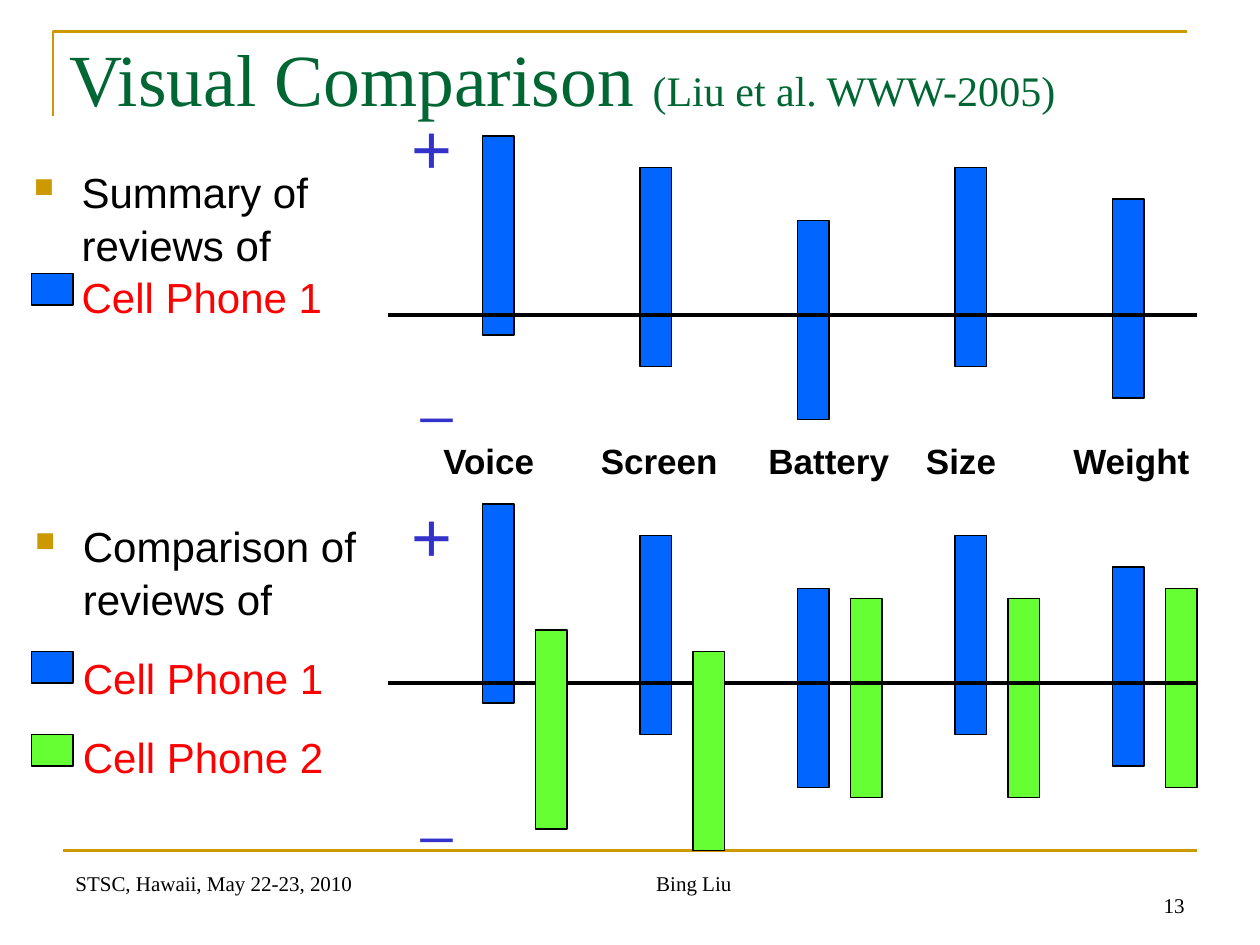
import pptx
import pptx.util
import pptx.dml.color
import pptx.enum.shapes
import pptx.enum.text
import pptx.oxml.ns
from dataclasses import dataclass
from lxml import etree

Inches = pptx.util.Inches
Pt = pptx.util.Pt
qn = pptx.oxml.ns.qn
ALIGN = pptx.enum.text.PP_ALIGN
ANCHOR = pptx.enum.text.MSO_ANCHOR


@dataclass(frozen=True)
class Theme:
    black: str = "000000"
    gold: str = "CC9900"
    title: str = "006633"
    sign: str = "3333CC"
    product: str = "FF0000"
    phone1: str = "0066FF"
    phone2: str = "66FF33"
    sans: str = "Arial"
    serif: str = "Times New Roman"
    title_size: float = 42
    body_size: float = 24
    label_size: float = 20
    footer_size: float = 12
    plus_size: float = 40
    minus_size: float = 32


def rgb(value):
    return pptx.dml.color.RGBColor.from_string(value)


class SlideBuilder:
    def __init__(self, s, theme):
        self.s = s
        self.t = theme

    def outline(self, sp, color, width):
        sp.line.color.rgb = rgb(color)
        sp.line.width = Pt(width)

    def rect(self, x, y, w, h, fill):
        sp = self.s.shapes.add_shape(pptx.enum.shapes.MSO_SHAPE.RECTANGLE,
                                     Inches(x), Inches(y), Inches(w), Inches(h))
        sp.shadow.inherit = False
        sp.fill.solid()
        sp.fill.fore_color.rgb = rgb(fill)
        self.outline(sp, self.t.black, 0.75)

    def line(self, x1, x2, y, color, width):
        sp = self.s.shapes.add_connector(pptx.enum.shapes.MSO_CONNECTOR.STRAIGHT,
                                         Inches(x1), Inches(y), Inches(x2), Inches(y))
        self.outline(sp, color, width)
        etree.SubElement(sp._element.spPr, qn("a:effectLst"))

    def corner(self, points, color, width):
        (x, y), *rest = [(Inches(a), Inches(b)) for a, b in points]
        builder = self.s.shapes.build_freeform(x, y)
        builder.add_line_segments(rest, close=False)
        sp = builder.convert_to_shape()
        sp.shadow.inherit = False
        sp.fill.background()
        self.outline(sp, color, width)

    def box(self, x, y, w, h, anchor=ANCHOR.TOP, top=0.05):
        sp = self.s.shapes.add_textbox(Inches(x), Inches(y), Inches(w), Inches(h))
        tf = sp.text_frame
        tf.word_wrap = True
        tf.vertical_anchor = anchor
        tf.margin_top = Inches(top)
        return tf

    def style(self, p, size, color, font, bold=False, spacing=1.05):
        p.font.size = Pt(size)
        p.font.name = font
        p.font.bold = bold
        p.font.color.rgb = rgb(color)
        p.line_spacing = spacing

    def text(self, tf, text, size, color, font=None, **options):
        p = tf.paragraphs[0]
        p.text = text
        self.style(p, size, color, font or self.t.sans, **options)
        return p

    def tab_stop(self, p, position):
        tabs = etree.SubElement(p._p.get_or_add_pPr(), qn("a:tabLst"))
        etree.SubElement(tabs, qn("a:tab"), pos=str(Inches(position)), algn="l")
        # Tab stops come before the default run properties
        p._p.pPr.find(qn("a:defRPr")).addprevious(tabs)

    def hanging(self, p, bullet):
        pPr = p._p.get_or_add_pPr()
        pPr.set("marL", str(Inches(0.38)))
        pPr.set("indent", str(Inches(-0.38 if bullet else 0)))
        if bullet:
            color = etree.Element(qn("a:buClr"))
            etree.SubElement(color, qn("a:srgbClr"), val=self.t.gold)
            size = etree.Element(qn("a:buSzPct"), val="65000")
            char = etree.Element(qn("a:buChar"), char="■")
            default = pPr.find(qn("a:defRPr"))
            for element in (color, size, char):
                default.addprevious(element)

    def bars(self, x, axis, rises, fill):
        for i, rise in rises:
            self.rect(x + 1.25 * i, axis - rise, 0.25, 1.58, fill)

    def axis(self, y):
        self.line(3.08, 9.5, y, self.t.black, 2.25)

    def signs(self, plus_top, minus_top):
        t = self.t
        self.text(self.box(3.17, plus_top, 0.75, 0.77), "+", t.plus_size, t.sign)
        self.text(self.box(3.25, minus_top, 0.75, 0.64), "_", t.minus_size, t.sign)

    def key(self, y, fill):
        self.rect(0.25, y, 0.33, 0.25, fill)


def main():
    prs = pptx.Presentation()
    prs.slide_width, prs.slide_height = Inches(10), Inches(7.5)
    t = Theme()
    b = SlideBuilder(prs.slides.add_slide(prs.slide_layouts[6]), t)

    # Frame and footer
    b.corner([(0.42, 0.92), (0.42, 0.25), (9.42, 0.25)], t.gold, 1.5)
    b.line(0.5, 9.5, 6.75, t.gold, 1.5)
    p = b.text(b.box(0.5, 6.83, 6.08, 0.5, top=0.08),
               "STSC, Hawaii, May 22-23, 2010\tBing Liu",
               t.footer_size, t.black, t.serif, spacing=1.0)
    b.tab_stop(p, 4.61)
    p = b.text(b.box(7.17, 6.83, 2.33, 0.5, ANCHOR.BOTTOM), "13",
               t.footer_size, t.black, t.serif, spacing=1.0)
    p.alignment = ALIGN.RIGHT

    # Title
    p = b.text(b.box(0.45, 0.16, 9, 1.25, top=0.1), "Visual Comparison ",
               t.title_size, t.title, t.serif, spacing=1.0)
    r = p.add_run()
    r.text = "(Liu et al. WWW-2005)"
    r.font.size = Pt(t.body_size)

    # Each bar's height above its axis, by feature
    phone1 = list(enumerate([1.42, 1.17, 0.75, 1.17, 0.92]))
    phone2 = list(enumerate([0.42, 0.25, 0.67, 0.67, 0.75]))

    # Summary of one phone
    b.bars(3.83, 2.5, phone1, t.phone1)
    b.axis(2.5)
    p = b.text(b.box(0.17, 1.25, 3, 1.3), "Summary of reviews of", t.body_size, t.black)
    b.hanging(p, True)
    p.add_line_break()
    r = p.add_run()
    r.text = "Cell Phone 1"
    r.font.color.rgb = rgb(t.product)
    b.key(2.17, t.phone1)
    b.signs(0.75, 2.75)

    # Feature labels
    for x, width, label in [(3.42, 1.83, "Voice"), (4.67, 1.83, "Screen"),
                            (6, 1.83, "Battery"), (7.25, 0.92, "Size"),
                            (8.42, 1.17, "Weight")]:
        b.text(b.box(x, 3.42, width, 0.5), label, t.label_size, t.black, bold=True)

    # Comparison of two phones
    tf = b.box(0.18, 4.06, 3.17, 2.12)
    p = b.text(tf, "Comparison of reviews of", t.body_size, t.black)
    b.hanging(p, True)
    for name in ("Cell Phone 1", "Cell Phone 2"):
        p = tf.add_paragraph()
        p.text = name
        b.style(p, t.body_size, t.product, t.sans)
        p.space_before = Pt(15)
        b.hanging(p, False)
    b.key(5.17, t.phone1)
    b.key(5.83, t.phone2)
    b.bars(4.25, 5.42, phone2[2:], t.phone2)
    b.bars(3.83, 5.42, phone1, t.phone1)
    b.axis(5.42)
    b.bars(4.25, 5.42, phone2[:2], t.phone2)
    b.signs(3.83, 6.08)

    prs.save("out.pptx")


if __name__ == "__main__":
    main()
